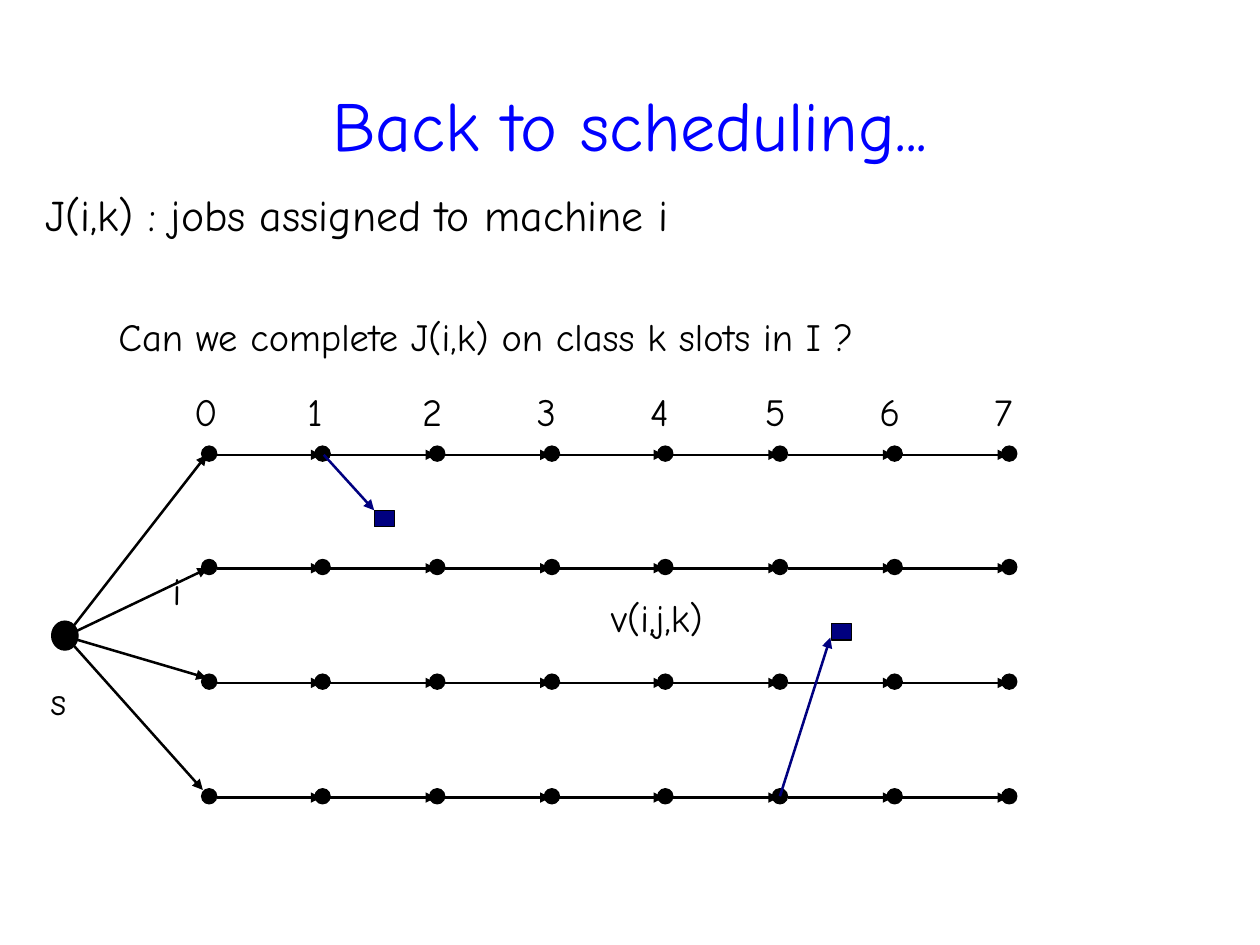
from lxml.etree import SubElement
from pptx import Presentation
from pptx.dml.color import RGBColor
from pptx.enum.shapes import MSO_CONNECTOR, MSO_SHAPE
from pptx.enum.text import MSO_ANCHOR, PP_ALIGN
from pptx.oxml.ns import qn
from pptx.util import Emu, Pt

SCALE = 9144  # EMU in one px, 100 px to the inch
BLACK, NAVY, BLUE = "000000", "000080", "0000FF"


def px(n):
    return Emu(n * SCALE)


def color(code):
    return RGBColor.from_string(code)


def assign(item, values):
    for name, value in values.items():
        setattr(item, name, value)


class Board:
    font = "Comic Neue"
    edge = Pt(0.75)
    stroke = Pt(1.45)
    inset = {"margin_left": px(9), "margin_right": px(9),
             "margin_top": px(4), "margin_bottom": px(4),
             "word_wrap": False}

    def __init__(self, slide):
        self.slide = slide
        self.shapes = slide.shapes

    def text(self, words, box, size=22, code=BLACK, frame=None, align=PP_ALIGN.LEFT):
        body = self.shapes.add_textbox(*map(px, box)).text_frame
        assign(body, self.inset | (frame or {}))
        para = body.paragraphs[0]
        assign(para, {"text": words, "alignment": align, "line_spacing": 1.17})
        assign(para.font, {"name": self.font, "size": Pt(size)})
        para.font.color.rgb = color(code)

    def shape(self, kind, box, code=BLACK):
        item = self.shapes.add_shape(kind, *map(px, box))
        item.shadow.inherit = False
        item.fill.solid()
        item.fill.fore_color.rgb = color(code)
        item.line.color.rgb = color(BLACK)
        item.line.width = self.edge

    def dot(self, *box):
        self.shape(MSO_SHAPE.OVAL, box)

    def arrow(self, start, end, code=BLACK):
        item = self.shapes.add_connector(
            MSO_CONNECTOR.STRAIGHT, *map(px, start + end))
        item.line.color.rgb = color(code)
        item.line.width = self.stroke
        SubElement(item.line._get_or_add_ln(), qn("a:tailEnd"), type="triangle")
        SubElement(item._element.spPr, qn("a:effectLst"))


def main():
    deck = Presentation()
    assign(deck, {"slide_width": px(1000), "slide_height": px(750)})
    board = Board(deck.slides.add_slide(deck.slide_layouts[6]))

    # Title and opening line
    flat = dict.fromkeys(
        ("margin_left", "margin_right", "margin_top", "margin_bottom"), 0)
    flat |= {"word_wrap": True, "vertical_anchor": MSO_ANCHOR.MIDDLE}
    board.text("Back to scheduling...", (50, 34, 900, 116), 40, BLUE,
               flat, PP_ALIGN.CENTER)
    board.text("J(i,k) : jobs assigned to machine i", (27, 138, 566, 58), 25)
    board.text("Can we complete J(i,k) on class k slots in I ?",
               (85, 238, 648, 51))

    # Time grid: a chain of eight dots for each of four machines
    cols = [160 + i * 635 // 7 for i in range(8)]
    rows = [354 + i * 272 // 3 for i in range(4)]
    for y in rows:
        for x in cols:
            board.dot(x, y, 12, 12)
        for x, after in zip(cols, cols[1:]):
            board.arrow((x + 12, y + 7), (after + 5, y + 7))

    # Time labels
    for i, x in enumerate(cols):
        width = 31 if i == 1 else 36
        board.text(str(i), (x - 15, 298, width, 51))

    # Job nodes with the arrows that reach them
    board.text("i", (128, 440, 26, 51))
    board.text("v(i,j,k)", (476, 461, 108, 51))
    for left, top, start, end in (
            (297, 405, (257, 361), (297, 405)),
            (660, 495, (619, 632), (659, 506))):
        board.shape(MSO_SHAPE.RECTANGLE, (left, top, 16, 13), NAVY)
        board.arrow(start, end, NAVY)

    # Source node, fanning out to the machines
    board.dot(41, 493, 21, 23)
    board.text("s", (31, 527, 33, 51))
    for end in (164, 361), (165, 451), (164, 538), (161, 627):
        board.arrow((52, 505), end)

    deck.save("out.pptx")


if __name__ == "__main__":
    main()
